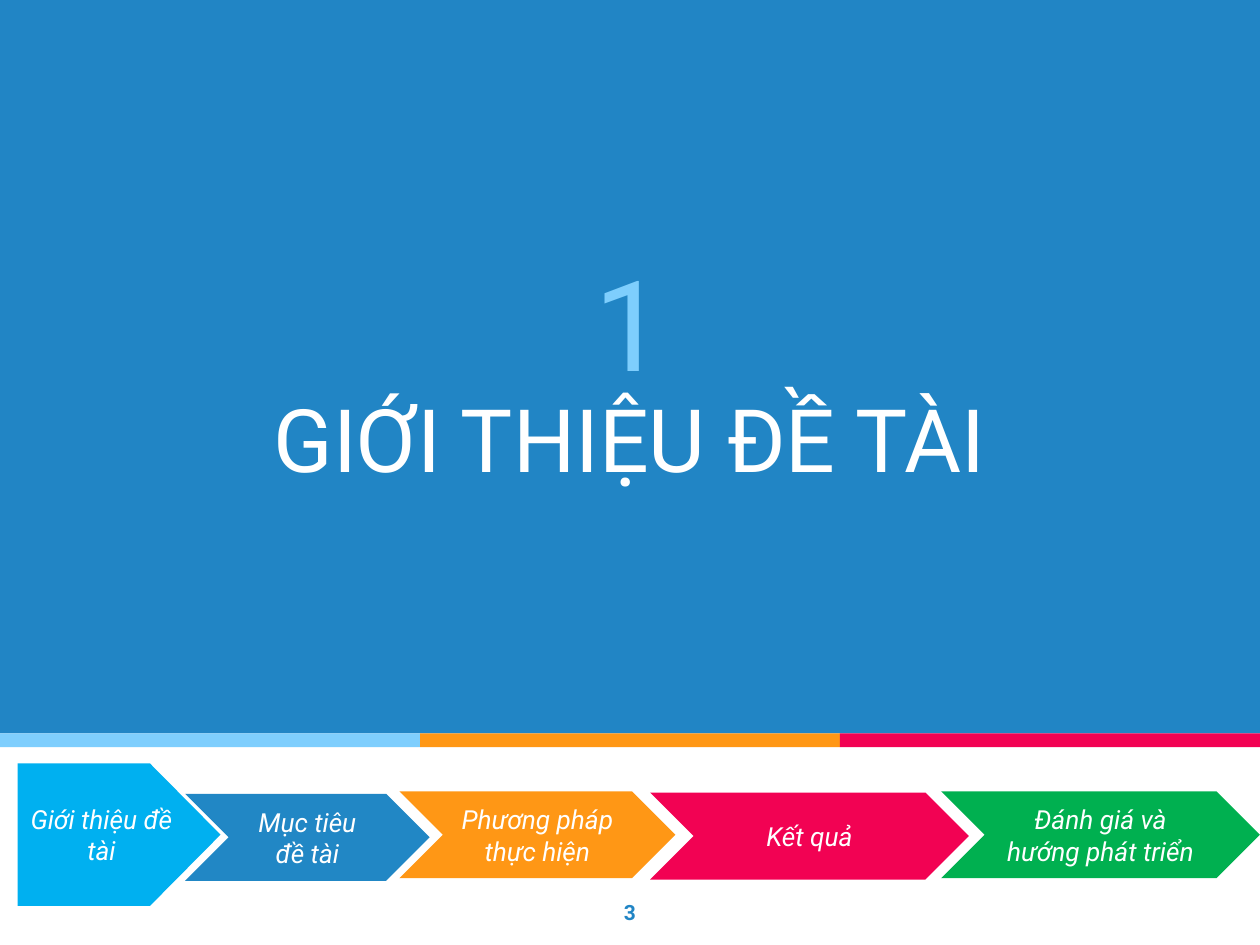
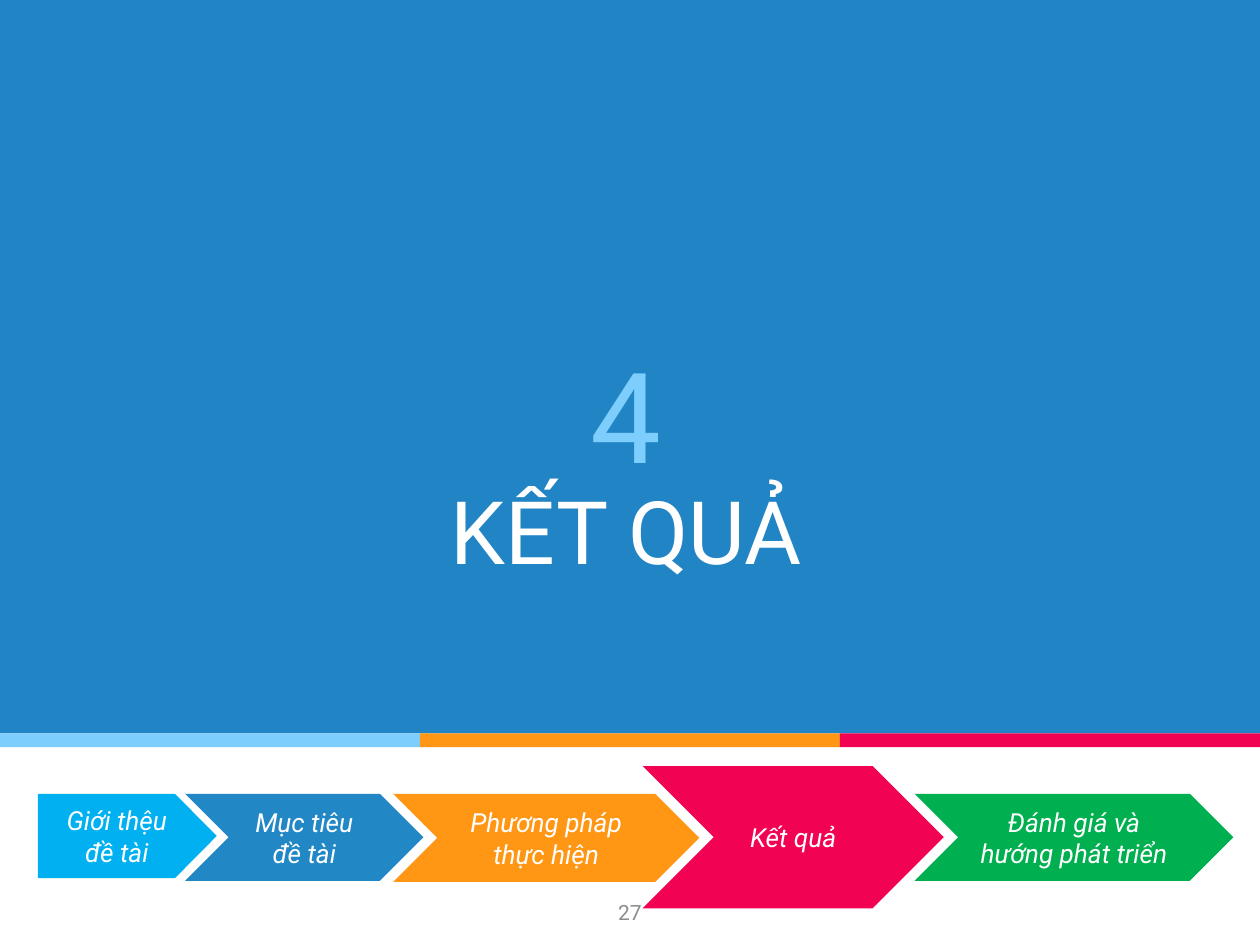
from pptx import Presentation
from pptx.dml.color import RGBColor
from pptx.enum import shapes, text
from pptx.util import Inches, Pt

FONT = "Roboto"
COLORS = {
    "panel": "2185C5",
    "sky": "7ECEFD",
    "orange": "FF9715",
    "pink": "F20253",
    "cyan": "00B0F0",
    "blue": "2187C5",
    "green": "00B050",
    "white": "FFFFFF",
    "gray": "8C8C8C",
}
PANEL_HEIGHT = 5.82
STRIPE_HEIGHT = 0.11
STEP_COLORS = ["cyan", "blue", "orange", "pink", "green"]
STEP_LABELS = ["Giới thiệu đề tài", "Mục tiêu đề tài", "Phương pháp thực hiện",
               "Kết quả", "Đánh giá và hướng phát triển"]

# Each step box is left, top, width, height in inches
SECTIONS = [
    {
        "number": "1", "heading": "GIỚI THIỆU ĐỀ TÀI",
        "title_box": (0.75, 2.31, 8.5, 1.69),
        "page": "3", "page_format": {"color": "panel", "bold": True},
        "labels": STEP_LABELS,
        "step_boxes": [(0.14, 6.06, 1.61, 1.13), (1.47, 6.3, 1.94, 0.69),
                       (3.17, 6.28, 2.19, 0.69), (5.16, 6.29, 2.53, 0.69),
                       (7.47, 6.28, 2.53, 0.69)],
    },
    {
        "number": "4", "heading": "KẾT QUẢ",
        "title_box": (0.15, 1.96, 9.64, 2.77),
        "page": "27", "page_format": {"color": "gray"},
        "labels": ["Giới thệu đề tài"] + STEP_LABELS[1:],
        "step_boxes": [(0.3, 6.3, 1.42, 0.67), (1.47, 6.3, 1.89, 0.69),
                       (3.12, 6.3, 2.43, 0.7), (5.1, 6.08, 2.39, 1.13),
                       (7.26, 6.3, 2.53, 0.69)],
    },
]


def rgb(name):
    return RGBColor.from_string(COLORS[name])


def write(paragraph, words, size, color, bold=False, italic=False, spacing=None):
    """Put one centred, formatted run in a paragraph."""
    paragraph.alignment = text.PP_ALIGN.CENTER
    if spacing:
        paragraph.line_spacing = spacing
        paragraph.space_before = Pt(0)
    run = paragraph.add_run()
    run.text = words
    font = run.font
    font.name, font.size = FONT, Pt(size)
    font.bold, font.italic = bold, italic
    font.color.rgb = rgb(color)


def prepare_frame(frame, anchor):
    frame.word_wrap = True
    frame.auto_size = text.MSO_AUTO_SIZE.NONE
    frame.vertical_anchor = anchor
    frame.margin_left = frame.margin_right = Inches(0.1)
    frame.margin_top = frame.margin_bottom = Inches(0.1)


def add_block(slide, kind, box, color):
    block = slide.shapes.add_shape(kind, *map(Inches, box))
    block.shadow.inherit = False
    block.fill.solid()
    block.fill.fore_color.rgb = rgb(color)
    block.line.fill.background()
    return block


def add_backdrop(slide):
    rectangle = shapes.MSO_SHAPE.RECTANGLE
    add_block(slide, rectangle, (0, 0, 10, PANEL_HEIGHT), "panel")
    stripe_width = 10 / 3
    for i, color in enumerate(["sky", "orange", "pink"]):
        add_block(slide, rectangle,
                  (i * stripe_width, PANEL_HEIGHT, stripe_width, STRIPE_HEIGHT), color)


def place_title(slide, number, heading, box):
    title = slide.shapes.title
    title.left, title.top, title.width, title.height = map(Inches, box)
    # Bring the title in front of the backdrop
    title.element.getparent().append(title.element)
    frame = title.text_frame
    prepare_frame(frame, text.MSO_ANCHOR.BOTTOM)
    write(frame.paragraphs[0], number, 72, "sky", spacing=1.5)
    write(frame.add_paragraph(), heading, 50, "white", spacing=0.9)


def add_page_number(slide, page, page_format):
    frame = slide.shapes.add_textbox(*map(Inches, (0, 7.04, 10, 0.46))).text_frame
    prepare_frame(frame, text.MSO_ANCHOR.TOP)
    write(frame.paragraphs[0], page, 12, **page_format)


def add_step(slide, label, box, color, first):
    kind = shapes.MSO_SHAPE.PENTAGON if first else shapes.MSO_SHAPE.CHEVRON
    step = add_block(slide, kind, box, color)
    step.adjustments[0] = 0.495 if first else 0.5
    prepare_frame(step.text_frame, text.MSO_ANCHOR.MIDDLE)
    write(step.text_frame.paragraphs[0], label, 15, "white", italic=True)


def add_section(deck, section):
    slide = deck.slides.add_slide(deck.slide_layouts[5])
    add_backdrop(slide)
    place_title(slide, section["number"], section["heading"], section["title_box"])
    add_page_number(slide, section["page"], section["page_format"])
    # Progress arrows, with the current section drawn larger
    steps = zip(section["labels"], section["step_boxes"], STEP_COLORS)
    for i, (label, box, color) in enumerate(steps):
        add_step(slide, label, box, color, first=i == 0)


def main():
    deck = Presentation()
    deck.slide_width, deck.slide_height = Inches(10), Inches(7.5)
    for section in SECTIONS:
        add_section(deck, section)
    deck.save("out.pptx")


if __name__ == "__main__":
    main()
